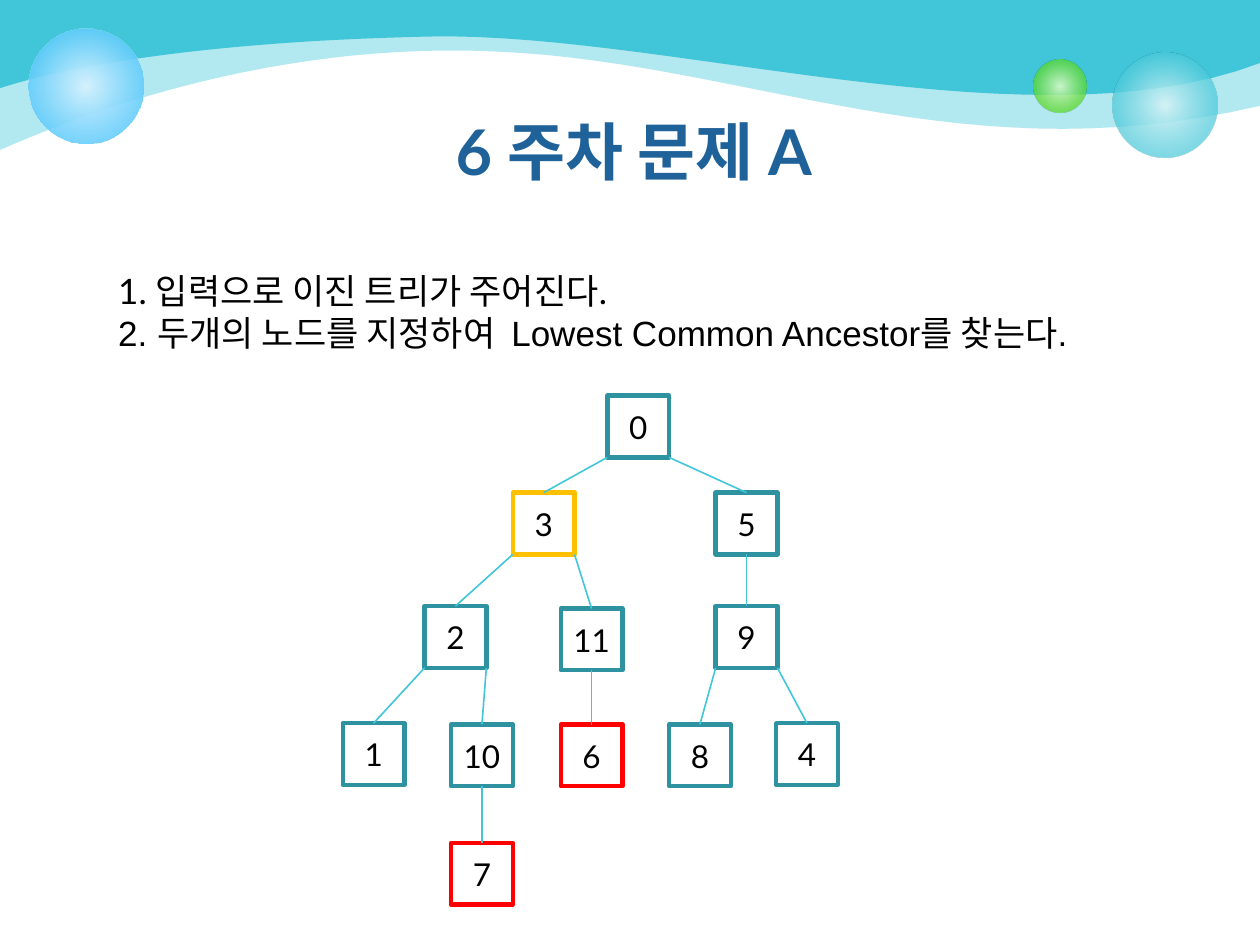
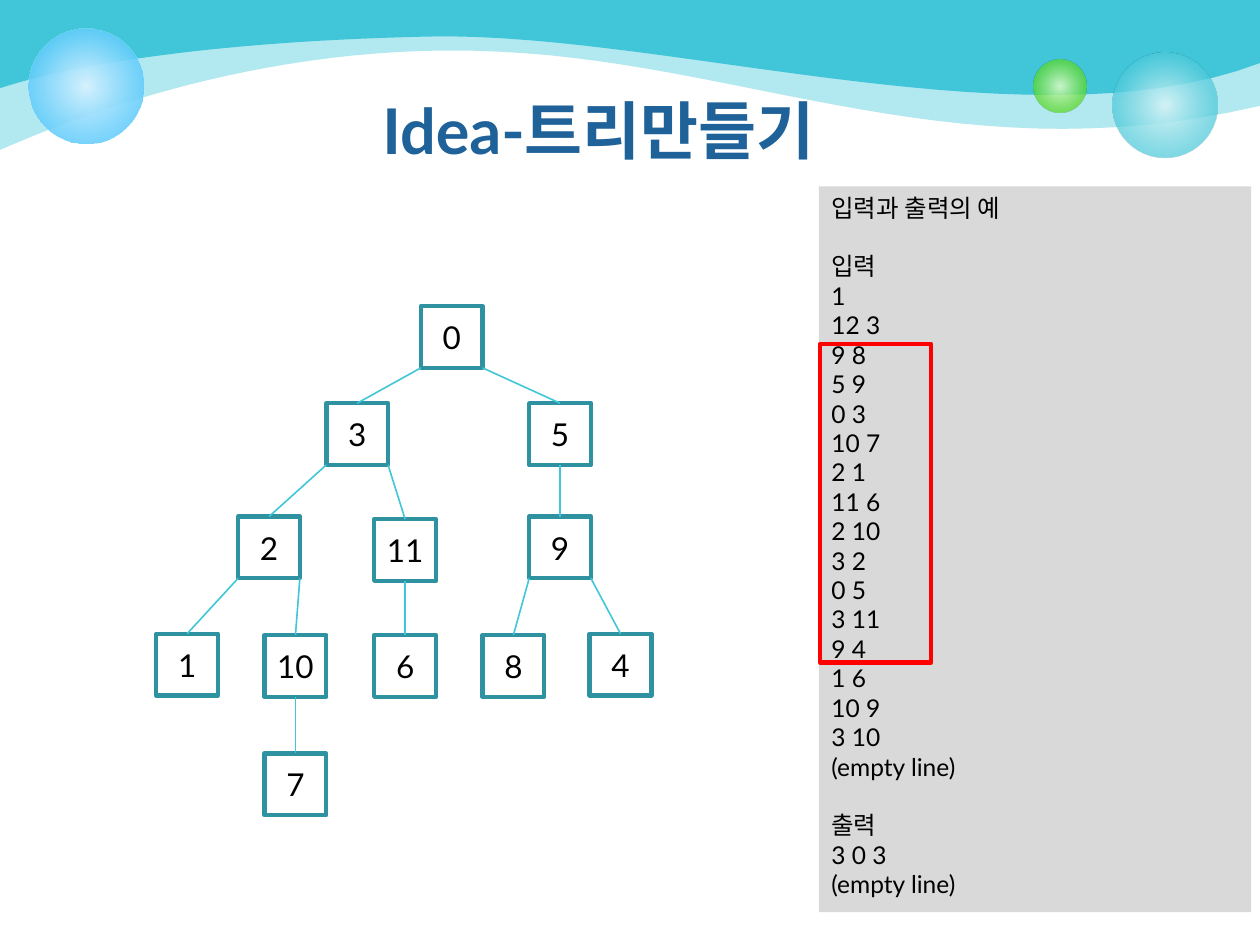
from dataclasses import dataclass

from lxml.etree import SubElement
from pptx import Presentation
from pptx.dml.color import RGBColor
from pptx.enum.shapes import MSO_CONNECTOR as CXN, MSO_SHAPE as SHAPE
from pptx.enum.text import MSO_ANCHOR as ANCHOR, PP_ALIGN as ALIGN
from pptx.oxml import parse_xml
from pptx.oxml.ns import nsdecls, qn
from pptx.util import Pt

EMU_PER_PX = 9144  # 100 px to the inch
BOTTOM, TOP = 2, 0  # connection sites of a rectangle


@dataclass(frozen=True)
class Theme:
    font: str = "Lato"
    alt_font: str = "Arial"
    title: str = "1F6299"
    text: str = "000000"
    wave: str = "40C6D8"
    node: str = "2F92A0"
    node_fill: str = "FFFFFF"
    target: str = "FF0000"
    ancestor: str = "FFC000"
    panel: str = "D9D9D9"
    title_pt: int = 36
    body_pt: int = 20
    node_pt: int = 18
    panel_pt: int = 14
    panel_gap_pt: float = 16.8
    border_pt: float = 2.5
    edge_pt: float = 0.9


THEME = Theme()

# Each wave: opacity in percent, start point, then Bezier triples.
WAVES = [
    (40, (0, 119), [((33, 105), (197, 31), (396, 41)),
                    ((595, 50), (762, 140), (1000, 84))]),
    (100, (0, 70), [((45, 55), (153, 33), (341, 29)),
                    ((529, 25), (820, 119), (1000, 50))]),
]

# Each bubble: left, top, diameter, then stops of (position, colour, opacity).
BUBBLES = [
    (883, 42, 83, [(0, "D9F4F7", 90), (76, "40C6D8", 70)]),
    (820, 47, 42, [(0, "DAFACD", 90), (76, "4CD416", 70)]),
    (23, 23, 91, [(0, "D6F2FE", 100), (100, "33BDFB", 80)]),
]

NODE_SIZE = 49
# Top left corner of each node, measured from the root.
NODES = {
    0: (0, 0),
    3: (-75, 77), 5: (86, 77),
    2: (-145, 167), 11: (-37, 169), 9: (86, 167),
    1: (-210, 260), 10: (-124, 261), 6: (-37, 261), 8: (49, 261), 4: (134, 260),
    7: (-124, 355),
}
CHILDREN = {0: (3, 5), 3: (2, 11), 5: (9,), 2: (1, 10), 11: (6,), 9: (8, 4), 10: (7,)}

SAMPLE_GROUPS = [
    ["입력과 출력의 예"],
    ["입력", "1", "12 3", "9 8", "5 9", "0 3", "10 7", "2 1", "11 6", "2 10", "3 2",
     "0 5", "3 11", "9 4", "1 6", "10 9", "3 10", "(empty line)"],
    ["출력", "3 0 3", "(empty line)"],
]


def px(*lengths):
    return [round(n * EMU_PER_PX) for n in lengths]


def rgb(colour):
    return RGBColor.from_string(colour)


def bezier(p0, p1, p2, p3, steps=30):
    """Points along a cubic curve, without its start."""
    for i in range(1, steps + 1):
        t = i / steps
        u = 1 - t
        yield tuple(u**3 * a + 3 * u * u * t * b + 3 * u * t * t * c + t**3 * d
                    for a, b, c, d in zip(p0, p1, p2, p3))


class Deck:
    def __init__(self, theme, width, height):
        self.theme = theme
        self.prs = Presentation()
        self.prs.slide_width, self.prs.slide_height = px(width, height)
        self.shapes = None

    def new_slide(self):
        self.shapes = self.prs.slides.add_slide(self.prs.slide_layouts[6]).shapes
        for wave in WAVES:
            self.wave(*wave)
        for bubble in BUBBLES:
            self.bubble(*bubble)

    def paint(self, sp, fill=None, line=None):
        sp.shadow.inherit = False
        if fill:
            sp.fill.solid()
            sp.fill.fore_color.rgb = rgb(fill)
        else:
            sp.fill.background()
        if line:
            sp.line.color.rgb = rgb(line)
            sp.line.width = Pt(self.theme.border_pt)
        else:
            sp.line.fill.background()

    def wave(self, opacity, start, curves):
        points = [start]
        for curve in curves:
            points += bezier(points[-1], *curve)
        points.append((1000, 0))
        builder = self.shapes.build_freeform(0, 0, scale=1.0)
        builder.add_line_segments([px(*point) for point in points], close=True)
        sp = builder.convert_to_shape()
        self.paint(sp, self.theme.wave)
        if opacity < 100:
            colour = next(sp.element.spPr.iter(qn("a:srgbClr")))
            SubElement(colour, qn("a:alpha"), val=str(opacity * 1000))

    def bubble(self, x, y, size, stops):
        sp = self.shapes.add_shape(SHAPE.OVAL, *px(x, y, size, size))
        self.paint(sp)
        gs = "".join(
            f'<a:gs pos="{pos * 1000}"><a:srgbClr val="{colour}">'
            f'<a:alpha val="{opacity * 1000}"/></a:srgbClr></a:gs>'
            for pos, colour, opacity in stops)
        gradient = parse_xml(
            f'<a:gradFill {nsdecls("a")} rotWithShape="1"><a:gsLst>{gs}</a:gsLst>'
            '<a:path path="circle"><a:fillToRect l="50000" t="50000" r="50000" b="50000"/>'
            '</a:path></a:gradFill>')
        sp_pr = sp.element.spPr
        sp_pr.replace(sp_pr.find(qn("a:noFill")), gradient)

    def add_text(self, p, text, size, colour=None, font=None, bold=False, align=ALIGN.LEFT):
        p.alignment = align
        r = p.add_run()
        r.text = text
        r.font.name = font or self.theme.font
        r.font.size = Pt(size)
        r.font.bold = bold
        r.font.color.rgb = rgb(colour or self.theme.text)

    def text_box(self, x, y, w, h):
        tf = self.shapes.add_textbox(*px(x, y, w, h)).text_frame
        tf.word_wrap = True
        return tf

    def title(self, text, x, y):
        p = self.text_box(x, y, 900, 125).paragraphs[0]
        self.add_text(p, text, self.theme.title_pt, self.theme.title, bold=True,
                      align=ALIGN.CENTER)

    def rect(self, x, y, w, h, fill=None, line=None):
        sp = self.shapes.add_shape(SHAPE.RECTANGLE, *px(x, y, w, h))
        self.paint(sp, fill, line)
        return sp

    def node(self, label, x, y, line):
        sp = self.rect(x, y, NODE_SIZE, NODE_SIZE, self.theme.node_fill, line)
        tf = sp.text_frame
        tf.word_wrap = False
        tf.vertical_anchor = ANCHOR.MIDDLE
        self.add_text(tf.paragraphs[0], str(label), self.theme.node_pt, align=ALIGN.CENTER)
        return sp

    def edge(self, parent, child, start_x):
        """Join a point on the parent's bottom side to the child's top centre."""
        y = parent.top + parent.height
        cxn = self.shapes.add_connector(CXN.STRAIGHT, start_x, y, child.left, child.top)
        if start_x == parent.left + parent.width // 2:
            cxn.begin_connect(parent, BOTTOM)
        cxn.end_connect(child, TOP)
        cxn.line.color.rgb = rgb(self.theme.wave)
        cxn.line.width = Pt(self.theme.edge_pt)
        SubElement(cxn.element.spPr, qn("a:effectLst"))

    def tree(self, root_x, root_y, marks=None):
        """Draw the binary tree; marks gives some nodes another border colour."""
        marks = marks or {}
        boxes = {n: self.node(n, root_x + dx, root_y + dy, marks.get(n, self.theme.node))
                 for n, (dx, dy) in NODES.items()}
        for n, children in CHILDREN.items():
            sp = boxes[n]
            middle, right = sp.left + sp.width // 2, sp.left + sp.width
            starts = (middle,) if len(children) == 1 else (sp.left, right)
            for child, start_x in zip(children, starts):
                self.edge(sp, boxes[child], start_x)

    def panel(self, groups, x, y, w, h):
        tf = self.rect(x, y, w, h, self.theme.panel).text_frame
        tf.word_wrap = True
        tf.vertical_anchor = ANCHOR.TOP
        p = tf.paragraphs[0]
        for g, lines in enumerate(groups):
            for i, line in enumerate(lines):
                if g or i:
                    p = tf.add_paragraph()
                if g and not i:
                    p.space_before = Pt(self.theme.panel_gap_pt)
                self.add_text(p, line, self.theme.panel_pt)


def problem_slide(deck):
    theme = deck.theme
    deck.new_slide()
    deck.title("6 주차 문제 A", 53, 84)
    tf = deck.text_box(84, 209, 940, 80)
    deck.add_text(tf.paragraphs[0], "1. 입력으로 이진 트리가 주어진다.", theme.body_pt)
    deck.add_text(tf.add_paragraph(),
                  "2. 두개의 노드를 지정하여  Lowest Common Ancestor를 찾는다.",
                  theme.body_pt, font=theme.alt_font, align=ALIGN.JUSTIFY)
    deck.tree(482, 314, {3: theme.ancestor, 6: theme.target, 7: theme.target})


def idea_slide(deck):
    deck.new_slide()
    deck.panel(SAMPLE_GROUPS, 650, 148, 343, 576)
    deck.rect(651, 273, 88, 253, line=deck.theme.target)
    deck.tree(334, 243)
    deck.title("Idea-트리만들기", 25, 68)


def main():
    deck = Deck(THEME, 1000, 750)
    problem_slide(deck)
    idea_slide(deck)
    deck.prs.save("out.pptx")


if __name__ == "__main__":
    main()
